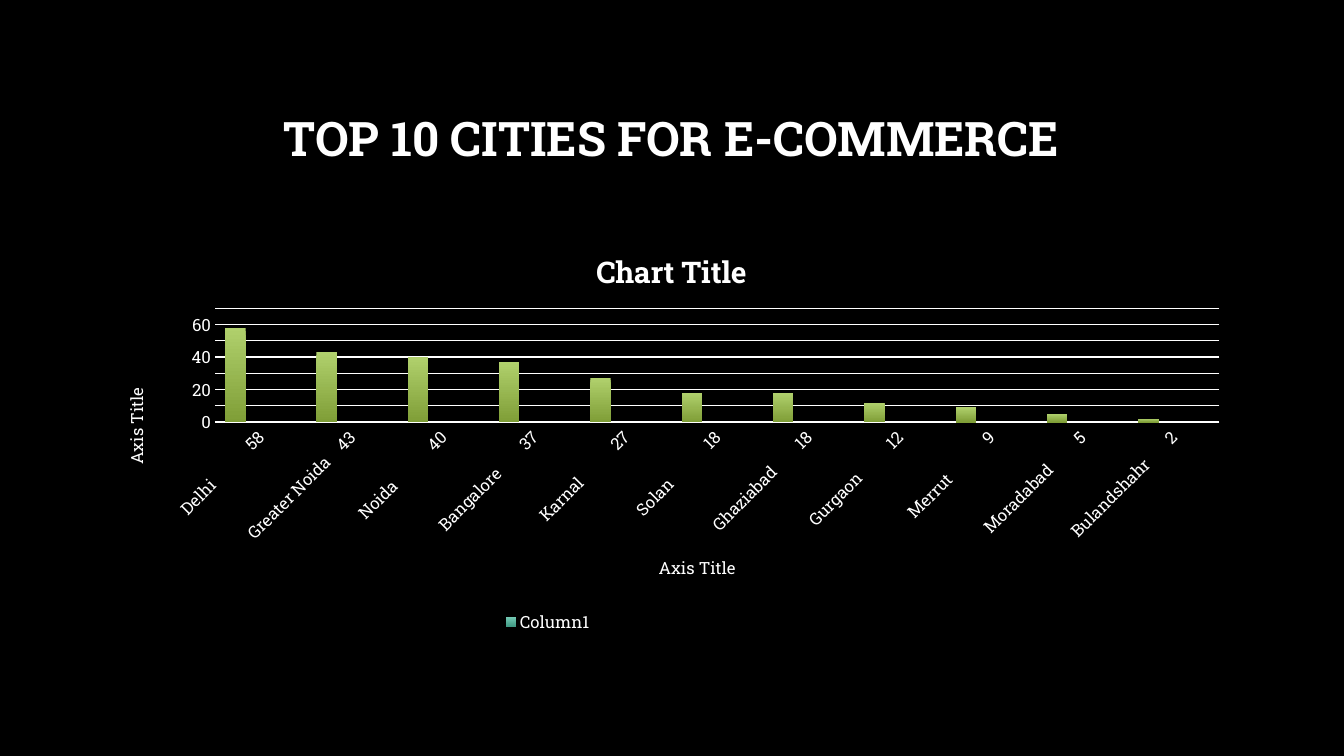
"""Build a slide with a column chart of the top cities for e-commerce."""
from dataclasses import dataclass

from pptx import Presentation
from pptx import util as u
from pptx.chart.data import CategoryChartData
from pptx.dml.color import RGBColor
from pptx.enum import chart as charts, text
from pptx.oxml import parse_xml
from pptx.oxml.ns import nsdecls, qn

FONT = "Roboto Slab"
BLACK = RGBColor(0x00, 0x00, 0x00)
WHITE = RGBColor(0xFF, 0xFF, 0xFF)
LIGHT_GREEN = RGBColor(0xB0, 0xD0, 0x6C)
DARK_GREEN = RGBColor(0x7F, 0x9E, 0x37)
LIGHT_TEAL = RGBColor(0x75, 0xCA, 0xB5)
DARK_TEAL = RGBColor(0x3F, 0x99, 0x83)
LIGHT_BLUE = RGBColor(0x73, 0xB0, 0xD6)
DARK_BLUE = RGBColor(0x37, 0x7E, 0xA8)


@dataclass(frozen=True)
class City:
    name: str
    score: int

    @property
    def label(self) -> str:
        return f"{self.name:<16}{self.score:>3}"


@dataclass(frozen=True)
class Column:
    name: str
    top: RGBColor
    bottom: RGBColor
    values: tuple
    in_legend: bool = False


CITIES = (
    City("Delhi", 58),
    City("Greater Noida", 43),
    City("Noida", 40),
    City("Bangalore", 37),
    City("Karnal", 27),
    City("Solan", 18),
    City("Ghaziabad", 18),
    City("Gurgaon", 12),
    City("Merrut", 9),
    City("Moradabad", 5),
    City("Bulandshahr", 2),
)
EMPTY = (None,) * len(CITIES)
COLUMNS = (
    Column("Series 1", LIGHT_GREEN, DARK_GREEN, tuple(c.score for c in CITIES)),
    Column("Column1", LIGHT_TEAL, DARK_TEAL, EMPTY, in_legend=True),
    Column("Column2", LIGHT_BLUE, DARK_BLUE, EMPTY),
)


def set_font(font, size: float, bold: bool = False) -> None:
    font.name, font.size, font.bold = FONT, u.Pt(size), bold
    font.color.rgb = WHITE


def set_title(owner, words: str, size: float, bold: bool = False) -> None:
    frame = owner.text_frame
    frame.text = words
    set_font(frame.paragraphs[0].font, size, bold)


def set_layout(parent, index: int, **fractions: float) -> None:
    old = parent.find(qn("c:layout"))
    if old is not None:
        parent.remove(old)
    target = '<c:layoutTarget val="inner"/>' if "w" in fractions else ""
    modes = "".join(f'<c:{side}Mode val="edge"/>' for side in "xy")
    sizes = "".join(f'<c:{key} val="{val}"/>' for key, val in fractions.items())
    parent.insert(index, parse_xml(
        f'<c:layout {nsdecls("c")}><c:manualLayout>{target}{modes}{sizes}'
        "</c:manualLayout></c:layout>"))


def add_heading(page) -> None:
    box = page.shapes.add_textbox(
        u.Inches(1), u.Inches(0.67), u.Inches(11.32), u.Inches(1.45))
    frame = box.text_frame
    frame.word_wrap = True
    frame.vertical_anchor = text.MSO_ANCHOR.MIDDLE
    set_title(box, "TOP 10 CITIES FOR E-COMMERCE", 34, bold=True)
    para = frame.paragraphs[0]
    para.alignment = text.PP_ALIGN.CENTER
    para.line_spacing = 0.9


def style_axis(axis) -> None:
    axis.major_tick_mark = axis.minor_tick_mark = charts.XL_TICK_MARK.NONE
    set_font(axis.tick_labels.font, 12)
    set_title(axis.axis_title, "Axis Title", 12)


def style_legend(chart) -> None:
    chart.has_legend = True
    legend = chart.legend
    legend.position = charts.XL_LEGEND_POSITION.BOTTOM
    legend.include_in_layout = False
    set_font(legend.font, 12)
    hidden = [i for i, column in enumerate(COLUMNS) if not column.in_legend]
    set_layout(legend._element, 1, x=0.35, y=0.93)
    for place, index in enumerate(hidden, start=1):
        legend._element.insert(place, parse_xml(
            f'<c:legendEntry {nsdecls("c")}><c:idx val="{index}"/>'
            '<c:delete val="1"/></c:legendEntry>'))


def add_city_chart(page) -> None:
    data = CategoryChartData()
    data.categories = [city.label for city in CITIES]
    for column in COLUMNS:
        data.add_series(column.name, column.values)
    chart = page.shapes.add_chart(
        charts.XL_CHART_TYPE.COLUMN_CLUSTERED, u.Inches(1), u.Inches(2.29),
        u.Inches(11.32), u.Inches(4.04), data).chart
    set_font(chart.font, 10)
    chart.has_title = True
    set_title(chart.chart_title, "Chart Title", 21.3, bold=True)

    plot = chart.plots[0]
    plot.gap_width, plot.overlap, plot.vary_by_categories = 100, -24, False
    for series, column in zip(plot.series, COLUMNS):
        fill = series.format.fill
        fill.gradient()
        fill.gradient_angle = 270
        for stop, color in zip(fill.gradient_stops, (column.top, column.bottom)):
            stop.color.rgb = color

    names, scores = chart.category_axis, chart.value_axis
    for axis in (names, scores):
        style_axis(axis)
    names.format.line.color.rgb = WHITE
    names.format.line.width = u.Pt(1)
    names._element.find(qn("c:txPr")).find(qn("a:bodyPr")).set("rot", "-2700000")
    scores.minimum_scale, scores.maximum_scale, scores.major_unit = 0, 70, 10
    scores.format.line.fill.background()
    grid = scores.major_gridlines.format.line
    grid.color.rgb = WHITE
    grid.width = u.Pt(0.75)

    style_legend(chart)
    plot_area = chart._chartSpace.chart.plotArea
    set_layout(plot_area, 0, x=0.1, y=0.19, w=0.88, h=0.28)


def main() -> None:
    deck = Presentation()
    deck.slide_width, deck.slide_height = u.Inches(13.33), u.Inches(7.5)
    page = deck.slides.add_slide(deck.slide_layouts[6])
    page.background.fill.solid()
    page.background.fill.fore_color.rgb = BLACK
    add_heading(page)
    add_city_chart(page)
    deck.save("out.pptx")


if __name__ == "__main__":
    main()
